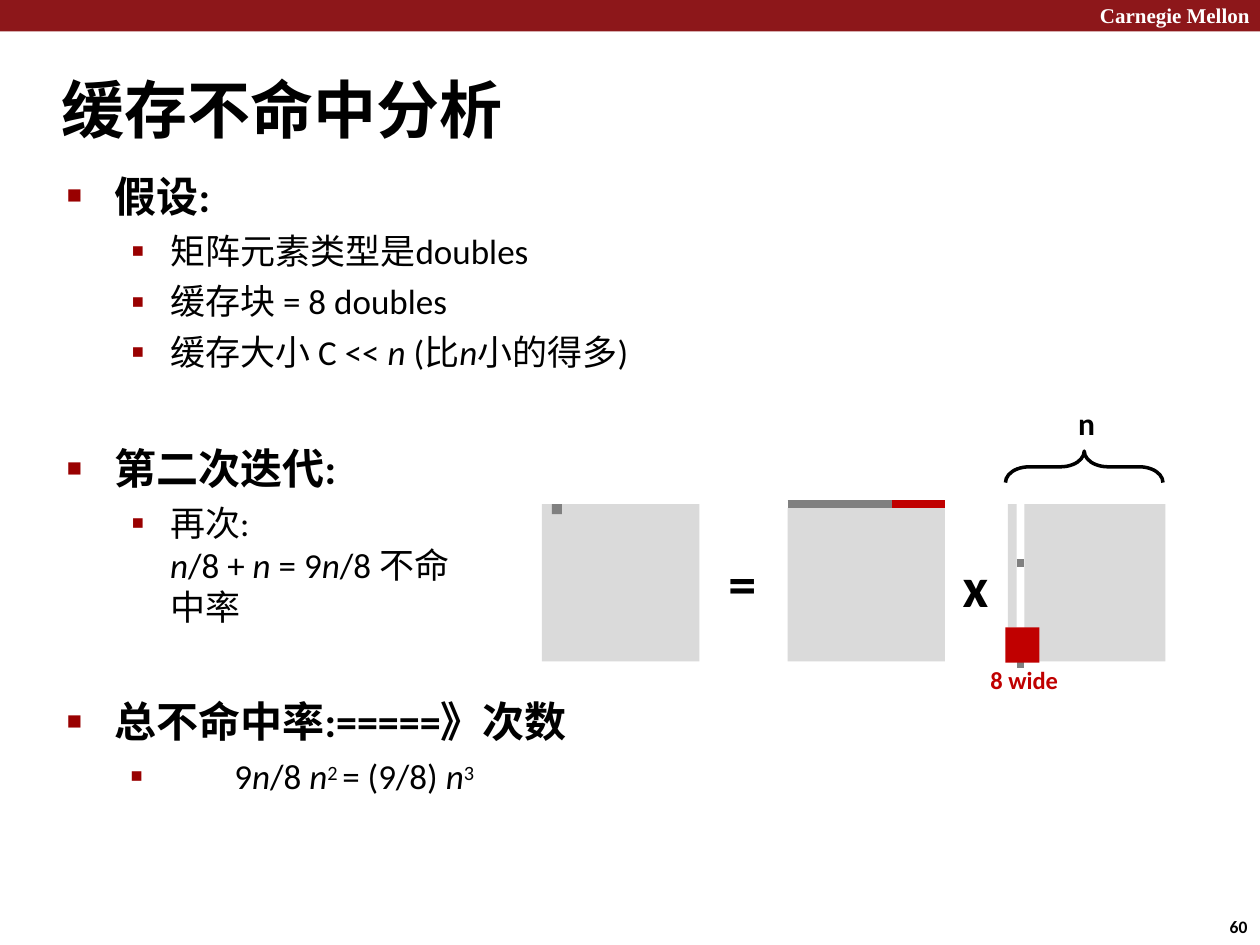
from dataclasses import dataclass

from lxml.etree import SubElement
from pptx import Presentation
from pptx.dml.color import RGBColor
from pptx.enum.shapes import MSO_CONNECTOR, MSO_SHAPE
from pptx.enum.text import PP_ALIGN
from pptx.oxml.ns import qn
from pptx.util import Inches, Pt


@dataclass(frozen=True)
class Theme:
    font: str = "Calibri"
    banner_font: str = "Times New Roman"
    banner: str = "8D171A"
    bullet: str = "990000"
    accent: str = "C00000"
    matrix: str = "DADADA"
    element: str = "808080"
    black: str = "000000"
    white: str = "FFFFFF"
    title: float = 36
    operator: float = 32
    heading: float = 24
    body: float = 20
    dimension: float = 18
    caption: float = 14
    small: float = 12
    number: float = 10


THEME = Theme()


@dataclass(frozen=True)
class Line:
    runs: list
    size: float = THEME.body
    bold: bool = False
    color: str = THEME.black
    font: str = THEME.font
    margin: float = 0
    indent: float = 0
    bullet: str = ""
    bullet_percent: int = 110
    level: int = 0
    before: float = 0
    spacing: float = 0
    align: PP_ALIGN = PP_ALIGN.LEFT


def heading(text, **options):
    return Line([(text, "")], THEME.heading, True, margin=0.39, indent=-0.38,
                bullet="■", bullet_percent=60, **options)


def item(*runs, margin=0.83, indent=-0.31, **options):
    return Line(runs, margin=margin, indent=indent, bullet="▪", level=1, **options)


class SlideBuilder:
    def __init__(self, slide, theme):
        self.slide = slide
        self.theme = theme

    def text(self, left, top, width, height, *lines, wrap=True):
        box = self.slide.shapes.add_textbox(
            Inches(left), Inches(top), Inches(width), Inches(height))
        frame = box.text_frame
        frame.word_wrap = wrap
        frame.margin_left = frame.margin_right = 0
        frame.margin_top = frame.margin_bottom = 0
        for index, line in enumerate(lines):
            paragraph = frame.add_paragraph() if index else frame.paragraphs[0]
            self.fill_paragraph(paragraph, line)

    def label(self, left, top, width, height, text, size, **options):
        self.text(left, top, width, height,
                  Line([(text, "")], size, True, **options), wrap=False)

    def fill_paragraph(self, paragraph, line):
        properties = paragraph._p.get_or_add_pPr()
        properties.set("marL", str(Inches(line.margin)))
        properties.set("indent", str(Inches(line.indent)))
        if line.bullet:
            color = SubElement(properties, qn("a:buClr"))
            SubElement(color, qn("a:srgbClr"), val=self.theme.bullet)
            SubElement(properties, qn("a:buSzPct"), val=str(line.bullet_percent * 1000))
            SubElement(properties, qn("a:buFont"), typeface="Arial")
            SubElement(properties, qn("a:buChar"), char=line.bullet)
        paragraph.level = line.level
        paragraph.alignment = line.align
        paragraph.space_before = Pt(line.before)
        if line.spacing:
            paragraph.line_spacing = Pt(line.spacing)
        for text, style in line.runs:
            run = paragraph.add_run()
            run.text = text
            run.font.name = line.font
            run.font.size = Pt(line.size)
            run.font.bold = line.bold
            run.font.italic = style == "italic"
            run.font.color.rgb = RGBColor.from_string(line.color)
            if style == "super":
                run._r.get_or_add_rPr().set("baseline", "26000")

    def rectangle(self, left, top, width, height, color):
        shape = self.slide.shapes.add_shape(
            MSO_SHAPE.RECTANGLE, Inches(left), Inches(top), Inches(width), Inches(height))
        shape.shadow.inherit = False
        shape.fill.solid()
        shape.fill.fore_color.rgb = RGBColor.from_string(color)
        shape.line.fill.background()

    def stripe(self, left, right, y, color):
        line = self.slide.shapes.add_connector(
            MSO_CONNECTOR.STRAIGHT, Inches(left), Inches(y), Inches(right), Inches(y))
        line.line.color.rgb = RGBColor.from_string(color)
        line.line.width = Pt(4.5)
        SubElement(line._element.spPr, qn("a:effectLst"))

    def top_brace(self, left, top, width, height):
        brace = self.slide.shapes.add_shape(
            MSO_SHAPE.LEFT_BRACE, Inches(left + (width - height) / 2),
            Inches(top + (height - width) / 2), Inches(height), Inches(width))
        brace.rotation = 90
        brace.adjustments[0] = 0.75
        brace.shadow.inherit = False
        brace.fill.background()
        brace.line.color.rgb = RGBColor.from_string(self.theme.black)
        brace.line.width = Pt(2)


def main():
    presentation = Presentation()
    presentation.slide_width = Inches(10)
    presentation.slide_height = Inches(7.5)
    slide = presentation.slides.add_slide(presentation.slide_layouts[6])
    theme = THEME
    builder = SlideBuilder(slide, theme)

    builder.rectangle(0, 0, 10, 0.25, theme.banner)
    builder.label(8.73, 0.02, 1.22, 0.22, "Carnegie Mellon", theme.small,
                  color=theme.white, font=theme.banner_font)
    builder.label(0.49, 0.56, 4.16, 0.6, "缓存不命中分析", theme.title)

    variable = ("n", "italic")
    builder.text(
        1.02, 3.98, 2.75, 1.01,
        item(("再次:", ""), margin=0.33),
        Line([variable, ("/8 + ", ""), ("n ", "italic"), ("= 9", ""), variable,
              ("/8 不命中率", "")], margin=0.33))
    builder.text(
        0.52, 5.52, 4.64, 0.84,
        heading("总不命中率:=====》次数"),
        item(("9", ""), variable, ("/8 ", ""), variable, ("2 ", "super"),
             ("= (9/8) ", ""), variable, ("3", "super"),
             margin=1.34, indent=-0.83, before=5))
    builder.top_brace(7.98, 3.58, 1.25, 0.25)
    builder.text(
        0.52, 1.35, 8.17, 2.59,
        heading("假设:"),
        item(("矩阵元素类型是doubles", ""), before=5),
        item(("缓存块 = 8 doubles", ""), before=4.8),
        item(("缓存大小 C << ", ""), ("n ", "italic"), ("(比", ""), variable,
             ("小的得多)", ""), before=4.8),
        Line([("n", "")], theme.dimension, True, before=18.5, spacing=21.6,
             align=PP_ALIGN.RIGHT),
        heading("第二次迭代:", spacing=28.8))

    builder.rectangle(6.25, 4.03, 1.25, 1.22, theme.matrix)
    builder.rectangle(8.13, 4, 1.12, 1.25, theme.matrix)
    builder.rectangle(8, 4, 0.07, 0.98, theme.matrix)
    builder.stripe(6.25, 7.5, 4, theme.element)
    for y in (4.47, 5.27):
        builder.stripe(8.07, 8.13, y, theme.element)
    builder.label(7.64, 4.38, 0.23, 0.57, "x", theme.operator)
    builder.rectangle(4.3, 4, 1.25, 1.25, theme.matrix)
    builder.label(5.78, 4.35, 0.25, 0.57, "=", theme.operator)
    builder.rectangle(4.38, 4, 0.08, 0.08, theme.element)
    builder.stripe(7.08, 7.5, 4, theme.accent)
    builder.rectangle(7.98, 4.98, 0.27, 0.28, theme.accent)
    builder.label(7.86, 5.28, 0.57, 0.26, "8 wide", theme.caption, color=theme.accent)
    builder.label(9.76, 7.29, 0.2, 0.17, "60", theme.number, spacing=10.4)

    presentation.save("out.pptx")


if __name__ == "__main__":
    main()
